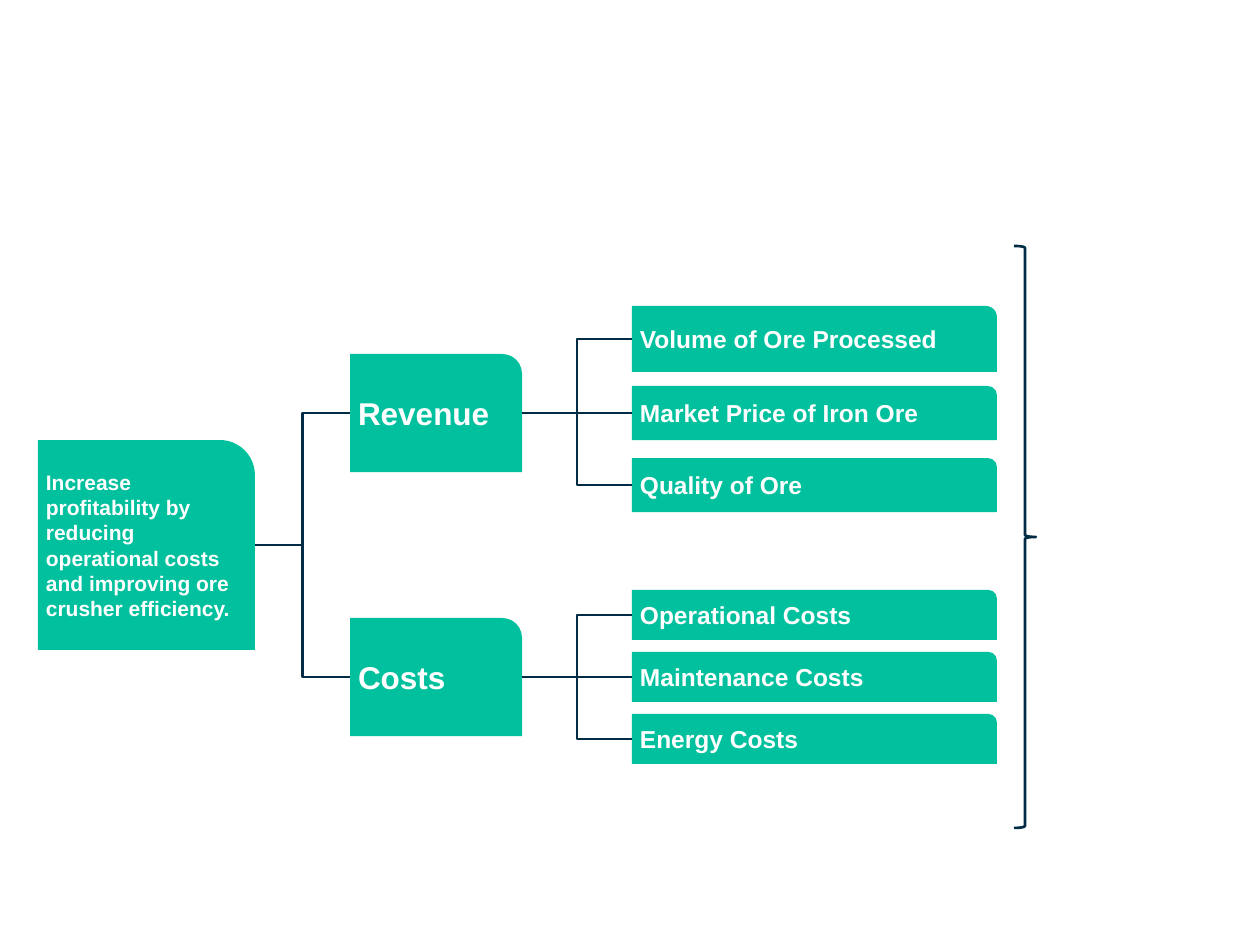
from dataclasses import dataclass

from pptx import Presentation
from pptx.dml.color import RGBColor as Color
from pptx.enum.shapes import MSO_CONNECTOR as Connector, MSO_SHAPE as Shape
from pptx.enum.text import MSO_ANCHOR as Anchor, PP_ALIGN as Align
from pptx.oxml.ns import qn
from pptx.util import Emu, Pt
from lxml.etree import SubElement


@dataclass(frozen=True)
class Theme:
    font: str = "Arial"
    fill: Color = Color.from_string("00C09D")
    line: Color = Color.from_string("002C46")
    text: Color = Color.from_string("FFFFFF")
    goal_size: int = 12
    branch_size: int = 18
    driver_size: int = 14
    line_width: float = 1.5


theme = Theme()
SCALE = 914400 / 126


def px(*lengths):
    return [Emu(round(length * SCALE)) for length in lengths]


def add_node(text, left, top, width, height, size, parent=None, inset=6):
    box = page.shapes.add_shape(Shape.ROUND_1_RECTANGLE, *px(left, top, width, height))
    box.shadow.inherit = False
    box.fill.solid()
    box.fill.fore_color.rgb = theme.fill
    box.line.fill.background()
    frame = box.text_frame
    frame.text = text
    frame.word_wrap = True
    frame.vertical_anchor = Anchor.MIDDLE
    frame.margin_left, frame.margin_top, frame.margin_right, frame.margin_bottom = px(
        8, inset, inset, inset
    )
    para = frame.paragraphs[0]
    para.alignment = Align.LEFT
    font = para.runs[0].font
    font.name, font.size, font.bold = theme.font, Pt(size), True
    font.color.rgb = theme.text
    if parent is not None:
        link = page.shapes.add_connector(Connector.ELBOW, 0, 0, 0, 0)
        link.begin_connect(parent, 3)
        link.end_connect(box, 1)
        link.line.color.rgb = theme.line
        link.line.width = Pt(theme.line_width)
        SubElement(link._element.spPr, qn("a:effectLst"))
    return box


deck = Presentation()
deck.slide_width, deck.slide_height = px(1260, 945)
page = deck.slides.add_slide(deck.slide_layouts[6])

goal = add_node(
    "Increase profitability by reducing operational costs and improving ore crusher efficiency.",
    38, 440, 217, 210, theme.goal_size, inset=0,
)

branches = [
    ("Revenue", 354, [
        ("Volume of Ore Processed", 306, 66),
        ("Market Price of Iron Ore", 386, 54),
        ("Quality of Ore", 458, 54),
    ]),
    ("Costs", 618, [
        ("Operational Costs", 590, 50),
        ("Maintenance Costs", 652, 50),
        ("Energy Costs", 714, 50),
    ]),
]
for name, top, drivers in branches:
    branch = add_node(name, 350, top, 172, 118, theme.branch_size, goal)
    for driver, driver_top, height in drivers:
        add_node(driver, 632, driver_top, 365, height, theme.driver_size, branch)

brace = page.shapes.add_shape(Shape.RIGHT_BRACE, *px(1014, 246, 22, 582))
brace.shadow.inherit = False
brace.fill.background()
brace.line.color.rgb = theme.line
brace.line.width = Pt(theme.line_width)

deck.save("out.pptx")
